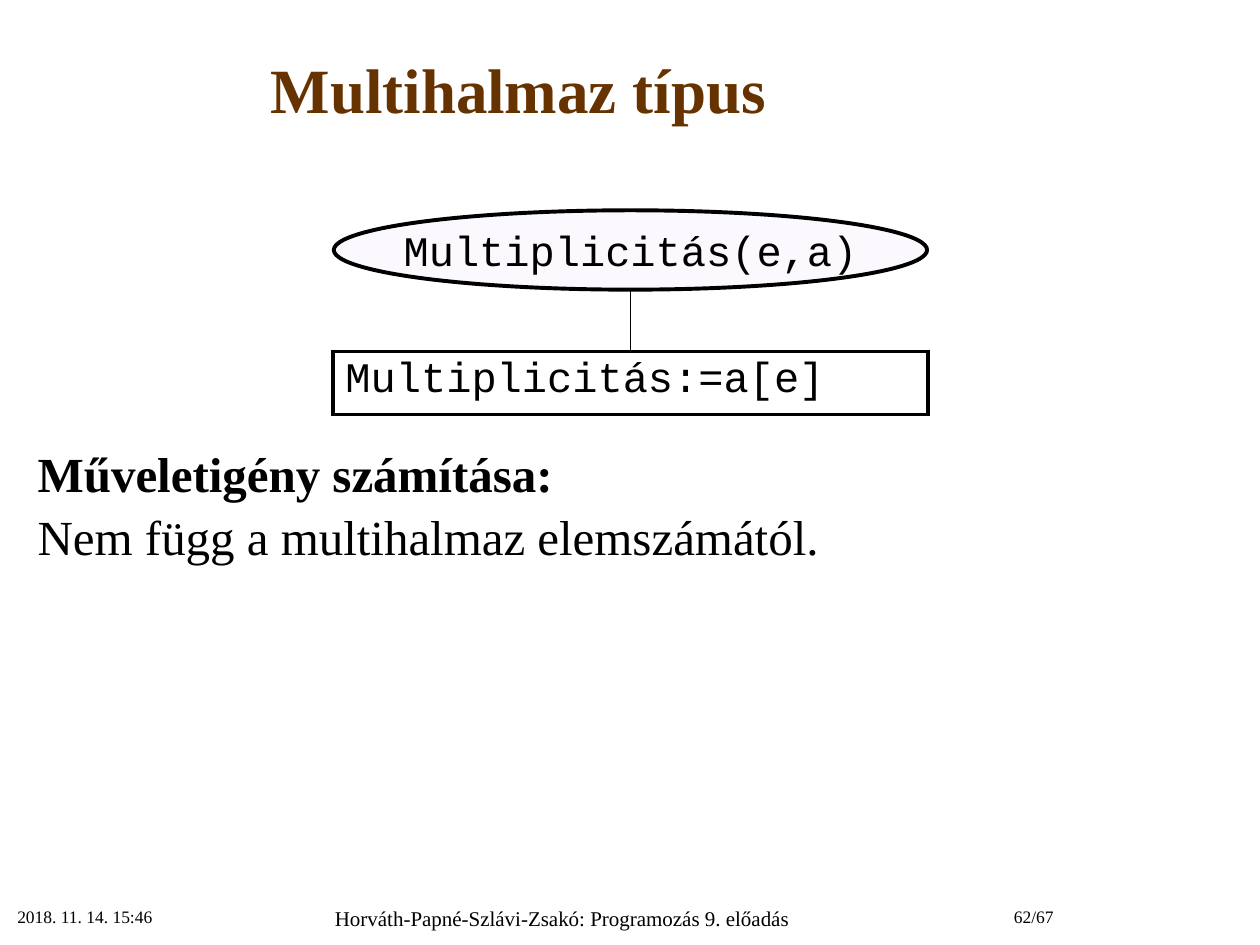
from lxml import etree
from pptx import Presentation
from pptx import util as u
from pptx.dml.color import RGBColor
from pptx.enum import shapes, text
from pptx.oxml.ns import qn

BLACK = RGBColor(0x00, 0x00, 0x00)
BROWN = RGBColor(0x66, 0x33, 0x00)
LILAC = RGBColor(0xF3, 0xE8, 0xFE)
SERIF, MONO = "Times New Roman", "Courier New"
LEFT, CENTER, RIGHT = text.PP_ALIGN.LEFT, text.PP_ALIGN.CENTER, text.PP_ALIGN.RIGHT
THIN, THICK = 1, 2.25

# Boxes are left, top, width, height in cm
TITLE = ("Multihalmaz típus", (0, 0.23, 20.9, 3.1))
COST_HEADING = "Műveletigény számítása:"
COST_TEXT = "Nem függ a multihalmaz elemszámától."
COST_BOX = (0.51, 8.81, 24.89, 2.82)
FOOTERS = [
    ("2018. 11. 14. 15:46", (0.1, 18.14, 5.28, 0.99), 10, LEFT),
    ("Horváth-Papné-Szlávi-Zsakó: Programozás 9. előadás",
     (5.38, 18.14, 11.91, 0.91), 12, CENTER),
    ("62/67", (18.26, 18.14, 3.23, 0.99), 10, RIGHT),
]
FUNCTION_HEAD = ("Multiplicitás(e,a)", (6.73, 4.24, 11.96, 1.6))
FUNCTION_BODY = "Multiplicitás:=a[e]"
DIAGRAM_LEFT, DIAGRAM_TOP, DIAGRAM_WIDTH = 6.71, 5.82, 12
STEM_HEIGHT, BODY_HEIGHT = 1.26, 1.27


def cm(box):
    return [u.Cm(length) for length in box]


def write(paragraph, words, size, font=SERIF, color=BLACK, bold=False, align=LEFT):
    paragraph.alignment = align
    run = paragraph.add_run()
    run.text = words
    run.font.size = u.Pt(size)
    run.font.name = font
    run.font.bold = bold
    run.font.color.rgb = color


def add_text_frame(slide, box, anchor=text.MSO_ANCHOR.TOP):
    frame = slide.shapes.add_textbox(*cm(box)).text_frame
    frame.word_wrap = True
    frame.vertical_anchor = anchor
    return frame


def set_borders(cell, **widths):
    """Draw the sides named L, R, T, B at the given point widths; hide the rest."""
    properties = cell._tc.get_or_add_tcPr()
    for side in "LRTB":
        line = etree.SubElement(properties, qn(f"a:ln{side}"))
        if side in widths:
            line.set("w", str(u.Pt(widths[side])))
            fill = etree.SubElement(line, qn("a:solidFill"))
            etree.SubElement(fill, qn("a:srgbClr"), val=str(BLACK))
        else:
            etree.SubElement(line, qn("a:noFill"))
    cell.fill.background()


def add_structogram(slide):
    heights = (STEM_HEIGHT, BODY_HEIGHT)
    box = (DIAGRAM_LEFT, DIAGRAM_TOP, DIAGRAM_WIDTH, sum(heights))
    table = slide.shapes.add_table(2, 2, *cm(box)).table
    table.first_row = table.horz_banding = False
    for row, height in zip(table.rows, heights):
        row.height = u.Cm(height)
    body = table.cell(1, 0)
    body.merge(table.cell(1, 1))
    set_borders(table.cell(0, 0), R=THIN, B=THICK)
    set_borders(table.cell(0, 1), L=THIN, B=THICK)
    for column in range(2):
        set_borders(table.cell(1, column), L=THICK, R=THICK, T=THICK, B=THICK)
    write(body.text_frame.paragraphs[0], FUNCTION_BODY, 24, font=MONO)


def add_function_head(slide):
    words, box = FUNCTION_HEAD
    ellipse = slide.shapes.add_shape(shapes.MSO_SHAPE.OVAL, *cm(box))
    ellipse.shadow.inherit = False
    ellipse.fill.solid()
    ellipse.fill.fore_color.rgb = LILAC
    fill_color = ellipse._element.spPr.find(qn("a:solidFill"))[0]
    etree.SubElement(fill_color, qn("a:alpha"), val="30000")
    ellipse.line.color.rgb = BLACK
    ellipse.line.width = u.Pt(THICK)
    frame = ellipse.text_frame
    frame.word_wrap = False
    frame.vertical_anchor = text.MSO_ANCHOR.MIDDLE
    write(frame.paragraphs[0], words, 24, font=MONO, align=CENTER)


def main():
    deck = Presentation()
    deck.slide_width, deck.slide_height = u.Cm(25.4), u.Cm(19.05)
    slide = deck.slides.add_slide(deck.slide_layouts[6])

    words, box = TITLE
    title = add_text_frame(slide, box, text.MSO_ANCHOR.MIDDLE)
    write(title.paragraphs[0], words, 36, color=BROWN, bold=True, align=CENTER)

    cost = add_text_frame(slide, COST_BOX)
    write(cost.paragraphs[0], COST_HEADING, 28, bold=True)
    explanation = cost.add_paragraph()
    explanation.line_spacing = u.Pt(30)
    explanation.space_before = u.Pt(6)
    write(explanation, COST_TEXT, 28)

    add_structogram(slide)
    add_function_head(slide)

    for words, box, size, align in FOOTERS:
        footer = add_text_frame(slide, box)
        write(footer.paragraphs[0], words, size, align=align)

    deck.save("out.pptx")


if __name__ == "__main__":
    main()
